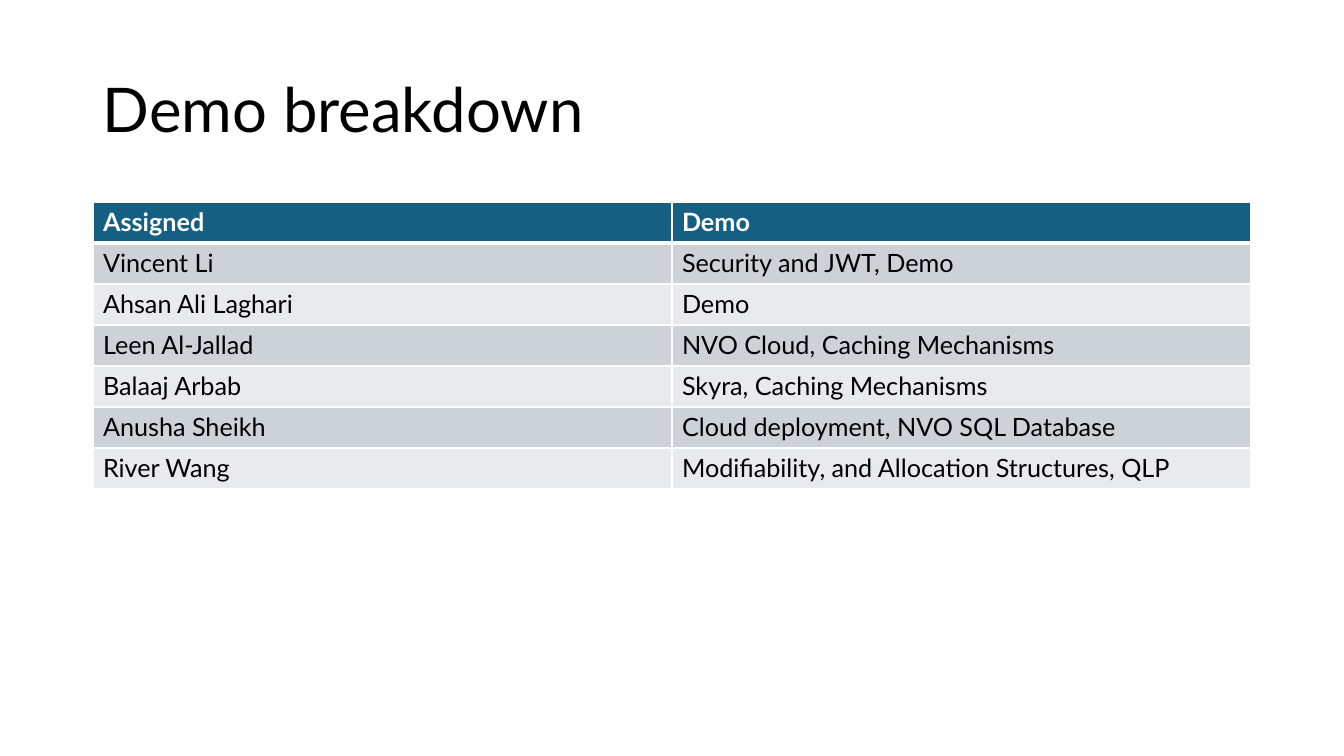
import pptx
import pptx.dml.color
import pptx.enum.text
import pptx.oxml.ns
import pptx.util
import lxml.etree

RGBColor = pptx.dml.color.RGBColor
BLACK = RGBColor(0x00, 0x00, 0x00)
WHITE = RGBColor(0xFF, 0xFF, 0xFF)
HEADER_BLUE = RGBColor(0x15, 0x60, 0x82)
BAND_DARK = RGBColor(0xCC, 0xD2, 0xD8)
BAND_LIGHT = RGBColor(0xE8, 0xEA, 0xED)

EMU_PER_PX = 914400 / 100.8
LEFT, WIDTH = 93, 1158
ROW_HEIGHT = 41

ASSIGNMENTS = [
    ("Assigned", "Demo"),
    ("Vincent Li", "Security and JWT, Demo"),
    ("Ahsan Ali Laghari", "Demo"),
    ("Leen Al-Jallad", "NVO Cloud, Caching Mechanisms"),
    ("Balaaj Arbab", "Skyra, Caching Mechanisms"),
    ("Anusha Sheikh", "Cloud deployment, NVO SQL Database"),
    ("River Wang", "Modifiability, and Allocation Structures, QLP"),
]


def px(length):
    return pptx.util.Emu(round(length * EMU_PER_PX))


def add_run(paragraph, text, size, color, bold=False):
    run = paragraph.add_run()
    run.text = text
    run.font.name = "Lato"
    run.font.size = pptx.util.Pt(size)
    run.font.bold = bold
    run.font.color.rgb = color


deck = pptx.Presentation()
deck.slide_width, deck.slide_height = px(1344), px(756)
slide = deck.slides.add_slide(deck.slide_layouts[6])

heading = slide.shapes.add_textbox(px(LEFT), px(40), px(WIDTH), px(146)).text_frame
heading.word_wrap = True
heading.vertical_anchor = pptx.enum.text.MSO_ANCHOR.MIDDLE
heading.paragraphs[0].line_spacing = 0.9
add_run(heading.paragraphs[0], "Demo breakdown", 44, BLACK)

breakdown = slide.shapes.add_table(
    len(ASSIGNMENTS), 2, px(LEFT), px(202), px(WIDTH), px(ROW_HEIGHT * len(ASSIGNMENTS))
).table

for row, assignment in enumerate(ASSIGNMENTS):
    is_header = row == 0
    band = HEADER_BLUE if is_header else BAND_DARK if row % 2 else BAND_LIGHT
    border_points = {"lnL": 1, "lnR": 1, "lnT": 3 if row == 1 else 1, "lnB": 3 if is_header else 1}
    for column, text in enumerate(assignment):
        cell = breakdown.cell(row, column)
        add_run(cell.text_frame.paragraphs[0], text, 18, WHITE if is_header else BLACK, is_header)
        properties = cell._tc.get_or_add_tcPr()
        for side, points in border_points.items():
            border = lxml.etree.SubElement(
                properties, pptx.oxml.ns.qn(f"a:{side}"), w=str(pptx.util.Pt(points))
            )
            border_fill = lxml.etree.SubElement(border, pptx.oxml.ns.qn("a:solidFill"))
            lxml.etree.SubElement(border_fill, pptx.oxml.ns.qn("a:srgbClr"), val=str(WHITE))
        cell.fill.solid()
        cell.fill.fore_color.rgb = band

deck.save("out.pptx")
